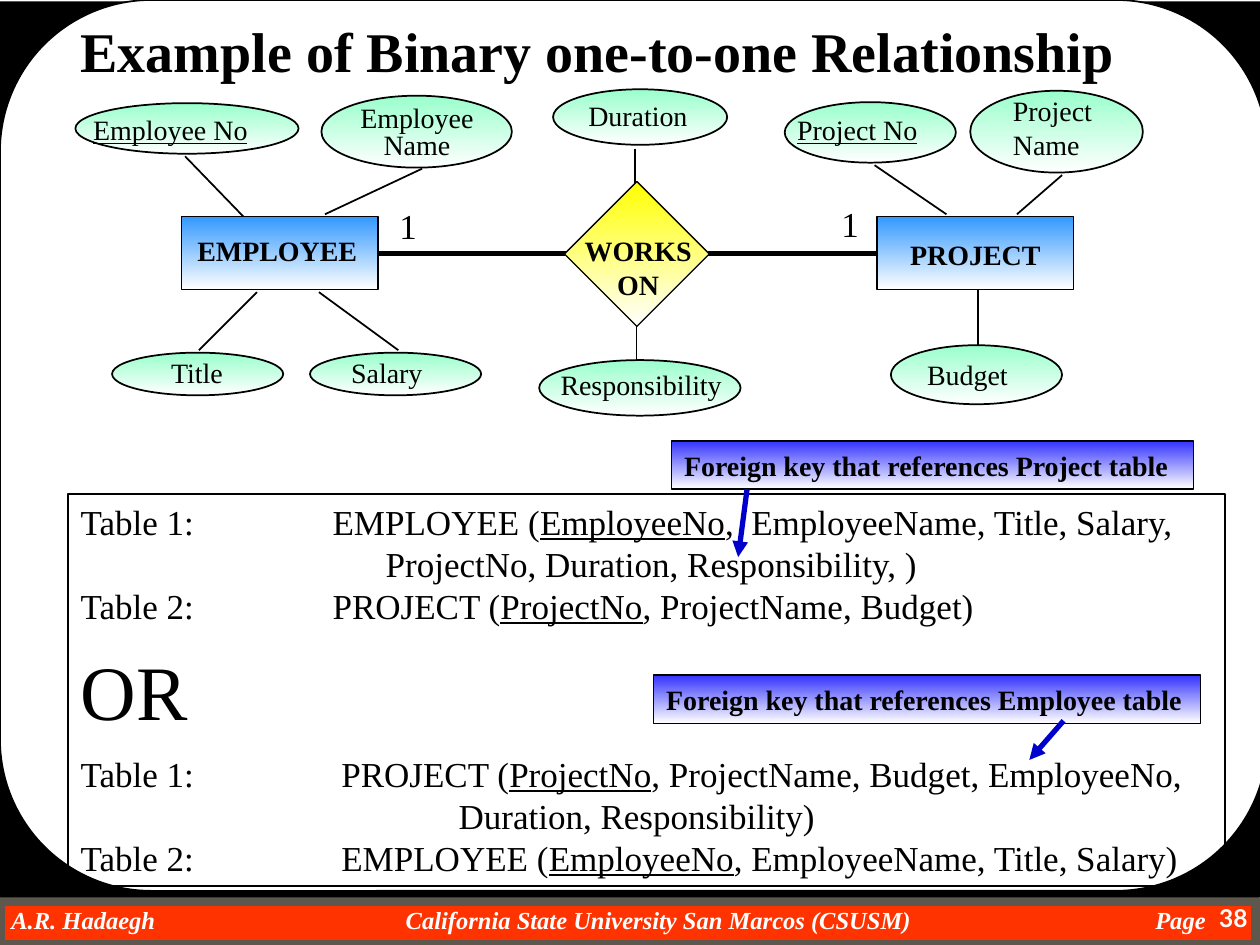
"""Build the slide on a binary one-to-one relationship."""
import dataclasses
import typing

import lxml.etree
import pptx
import pptx.dml.color
import pptx.enum.shapes
import pptx.enum.text
import pptx.oxml.ns
import pptx.util

Cm = pptx.util.Cm
Pt = pptx.util.Pt
qn = pptx.oxml.ns.qn
Kind = pptx.enum.shapes.MSO_SHAPE
Align = pptx.enum.text.PP_ALIGN
Anchor = pptx.enum.text.MSO_ANCHOR
Box = typing.Tuple[float, float, float, float]


@dataclasses.dataclass(frozen=True)
class Theme:
    serif: str = "Times New Roman"
    sans: str = "Lato"
    ink: str = "000000"
    paper: str = "FFFFFF"
    bar: str = "FF3300"
    edge: str = "5E574E"
    arrow: str = "0000CC"
    mint: str = "99FFCC"
    sky: str = "3399FF"
    sun: str = "FFFF00"
    key: str = "3333FF"
    foot: float = 14
    small: float = 16
    text: float = 20
    head: float = 32
    huge: float = 44


@dataclasses.dataclass(frozen=True)
class Node:
    kind: typing.Any
    box: Box
    fill: str
    width: float = 0.75
    text: str = ""


@dataclasses.dataclass(frozen=True)
class Label:
    text: str
    box: Box
    bold: bool = False
    under: bool = False
    align: typing.Any = Align.LEFT
    size: float = Theme.small
    space: typing.Optional[float] = None


@dataclasses.dataclass(frozen=True)
class Link:
    ends: Box
    width: float = 1
    color: str = Theme.ink
    arrow: bool = False


@dataclasses.dataclass(frozen=True)
class Row:
    head: str
    key: str = ""
    tail: str = ""
    left: float = 0
    size: float = Theme.text
    gap: float = 0


T = Theme()
OVAL, RECT = Kind.OVAL, Kind.RECTANGLE
NODES = [Node(OVAL, box, T.mint, 1) for box in (
    (1.52, 2.08, 4.5, 1.02), (6.48, 1.93, 3.84, 1.45), (11.15, 1.8, 3.51, 1.12),
    (15.82, 2.06, 3.45, 1.22), (19.56, 1.83, 3.48, 1.65), (2.26, 7.11, 3.45, 0.86),
    (6.25, 7.11, 3.45, 0.86), (10.87, 7.26, 4.06, 1.12), (17.96, 6.96, 3.45, 1.19))]
NODES += [Node(RECT, (x, 4.37, 3.96, 1.47), T.sky) for x in (3.66, 17.68)]
NODES.append(Node(Kind.DIAMOND, (11.38, 3.66, 2.92, 2.92), T.sun))
KEYS = [
    Node(RECT, (13.54, 8.89, 10.52, 0.97), T.key, text="Foreign key that references Project table"),
    Node(RECT, (13.18, 13.61, 11.02, 0.97), T.key, text="Foreign key that references Employee table"),
]
LABELS = [
    Label("Employee No", (1.63, 2.14, 3.8, 0.91), under=True),
    Label("Employee\nName", (7.01, 2.03, 2.79, 1.32), align=Align.CENTER, space=0.8),
    Label("Duration", (11.61, 1.87, 2.7, 0.91)),
    Label("Project No", (15.82, 2.14, 3.2, 0.91), under=True),
    Label("Project\nName", (20.17, 1.76, 2.4, 1.6)),
    Label("Title", (3.2, 7.04, 1.8, 0.91)),
    Label("Salary", (6.83, 7.04, 2.2, 0.91)),
    Label("Responsibility", (11.05, 7.29, 4, 0.91)),
    Label("Budget", (18.44, 7.09, 2.4, 0.91)),
    Label("EMPLOYEE", (3.73, 4.58, 4, 0.91), bold=True),
    Label("PROJECT", (18.1, 4.67, 3.5, 0.91), bold=True),
    Label("WORKS\vON", (11.43, 4.59, 2.87, 1.6), bold=True, align=Align.CENTER),
    Label("1", (7.8, 3.99, 0.9, 1.09), size=T.text),
    Label("1", (16.71, 3.96, 0.9, 1.09), size=T.text),
]
LINKS = [Link(ends) for ends in (
    (3.73, 3.15, 4.93, 4.39), (8.51, 3.4, 6.55, 4.32), (5.18, 5.89, 4.01, 7.06),
    (6.43, 5.89, 8.03, 7.06), (12.8, 3, 12.8, 3.71), (12.83, 6.55, 12.83, 7.26),
    (17.63, 3.33, 19.08, 4.32), (21.41, 3.53, 20.5, 4.32), (19.71, 6.96, 19.71, 5.84))]
LINKS += [Link(ends, 3) for ends in ((11.68, 5.11, 7.59, 5.11), (17.68, 5.11, 14.15, 5.11))]
ARROWS = [Link(ends, 3, T.arrow, True) for ends in (
    (15.06, 9.86, 14.88, 11.23), (21.44, 14.53, 20.75, 15.32))]
ROWS = [
    Row("Table 1:\t\t\tEMPLOYEE (", "EmployeeNo", ",  EmployeeName, Title, Salary,"),
    Row("ProjectNo, Duration, Responsibility, )", left=6.15),
    Row("Table 2:\t\t\tPROJECT (", "ProjectNo", ", ProjectName, Budget)"),
    Row("OR", size=T.huge, gap=9.6),
    Row("Table 1:\t\t\t PROJECT (", "ProjectNo", ", ProjectName, Budget, EmployeeNo,", gap=9.6),
    Row("Duration, Responsibility)", left=7.62),
    Row("Table 2:\t\t\t EMPLOYEE (", "EmployeeNo", ", EmployeeName, Title, Salary)"),
]


def rgb(code: str) -> pptx.dml.color.RGBColor:
    return pptx.dml.color.RGBColor.from_string(code)


def style(para, size: float, color: str = T.ink, bold: bool = False,
          italic: bool = False, face: str = T.serif) -> None:
    for run in para.runs:
        font = run.font
        font.name, font.size, font.bold, font.italic = face, Pt(size), bold, italic
        font.color.rgb = rgb(color)


def tabs(para, stops: typing.Sequence[float]) -> None:
    group = lxml.etree.SubElement(para._p.get_or_add_pPr(), qn("a:tabLst"))
    for stop in stops:
        lxml.etree.SubElement(group, qn("a:tab"), pos=str(Cm(stop)), algn="l")


def block(slide, kind, box: Box, fill: str, edge: str = "", width: float = 1):
    shape = slide.shapes.add_shape(kind, *map(Cm, box))
    shape.shadow.inherit = False
    shape.fill.solid()
    shape.fill.fore_color.rgb = rgb(fill)
    if edge:
        shape.line.color.rgb = rgb(edge)
        shape.line.width = Pt(width)
    else:
        shape.line.fill.background()
    return shape


def node(slide, item: Node) -> None:
    shape = block(slide, item.kind, item.box, item.fill, T.ink, item.width)
    shape.fill.gradient()
    shape.fill.gradient_angle = 270
    for stop, code in zip(shape.fill.gradient_stops, (item.fill, T.paper)):
        stop.color.rgb = rgb(code)
    if item.text:
        frame = shape.text_frame
        frame.text, frame.word_wrap = item.text, False
        frame.paragraphs[0].alignment = Align.LEFT
        style(frame.paragraphs[0], T.small, bold=True)


def label(slide, item: Label) -> None:
    frame = slide.shapes.add_textbox(*map(Cm, item.box)).text_frame
    frame.text, frame.word_wrap = item.text, True
    for para in frame.paragraphs:
        para.alignment, para.line_spacing = item.align, item.space
        style(para, item.size, bold=item.bold)
        for run in para.runs:
            run.font.underline = item.under


def link(slide, item: Link) -> None:
    line = slide.shapes.add_connector(pptx.enum.shapes.MSO_CONNECTOR.STRAIGHT, *map(Cm, item.ends))
    line.line.color.rgb = rgb(item.color)
    line.line.width = Pt(item.width)
    props = line.element.spPr
    if item.arrow:
        lxml.etree.SubElement(props.find(qn("a:ln")), qn("a:tailEnd"), type="triangle")
    lxml.etree.SubElement(props, qn("a:effectLst"))


def frame(slide) -> None:
    block(slide, RECT, (0, 18.16, 25.32, 0.89), T.bar, T.edge, 6)
    foot = slide.shapes.add_textbox(*map(Cm, (0, 18.24, 24.9, 0.58))).text_frame
    foot.margin_left, foot.margin_top, foot.margin_right, foot.margin_bottom = Cm(0.23), 0, 0, 0
    foot.text = "A.R. Hadaegh\tCalifornia State University San Marcos (CSUSM)\tPage"
    foot.word_wrap = True
    tabs(foot.paragraphs[0], (7.95, 23.06))
    style(foot.paragraphs[0], T.foot, T.paper, True, True)
    block(slide, RECT, (0, 0.03, 25.4, 18.06), T.ink)
    panel = block(slide, Kind.ROUNDED_RECTANGLE, (0, 0, 25.55, 17.96), T.paper, T.ink)
    panel.adjustments[0] = 0.17
    page = slide.shapes.add_textbox(*map(Cm, (23.5, 18.08, 1.9, 0.97))).text_frame
    page.text, page.word_wrap = "38", True
    page.paragraphs[0].alignment = Align.RIGHT
    style(page.paragraphs[0], T.foot, T.paper, True, face=T.sans)


def holder(slide, shape, box: Box):
    slide.shapes.element.append(shape.element)
    shape.left, shape.top, shape.width, shape.height = map(Cm, box)
    text = shape.text_frame
    text.auto_size, text.word_wrap = pptx.enum.text.MSO_AUTO_SIZE.NONE, True
    text.vertical_anchor = Anchor.TOP
    return text


def body(slide) -> None:
    shape = slide.placeholders[1]
    text = holder(slide, shape, (1.37, 9.96, 23.32, 7.9))
    shape.line.color.rgb = rgb(T.ink)
    shape.line.width = Pt(1)
    text.text = "\n".join(row.head for row in ROWS)
    for para, row in zip(text.paragraphs, ROWS):
        para.space_before = Pt(row.gap)
        props = para._p.get_or_add_pPr()
        props.set("marL", str(Cm(row.left)))
        props.set("indent", "0")
        lxml.etree.SubElement(props, qn("a:buNone"))
        if row.key:
            key = para.add_run()
            key.text, key.font.underline = row.key, True
            para.add_run().text = row.tail
        style(para, row.size)


def title(slide) -> None:
    text = holder(slide, slide.shapes.title, (1.37, 0.46, 21.59, 1.35))
    text.text = "Example of Binary one-to-one Relationship"
    para = text.paragraphs[0]
    para.alignment, para.line_spacing = Align.LEFT, 0.8
    style(para, T.head, bold=True)


def main() -> None:
    deck = pptx.Presentation()
    deck.slide_width, deck.slide_height = Cm(25.4), Cm(19.05)
    slide = deck.slides.add_slide(deck.slide_layouts[1])
    frame(slide)
    for draw, items in ((link, LINKS), (node, NODES), (label, LABELS)):
        for item in items:
            draw(slide, item)
    body(slide)
    for key, arrow in zip(KEYS, ARROWS):
        node(slide, key)
        link(slide, arrow)
    title(slide)
    deck.save("out.pptx")


if __name__ == "__main__":
    main()
